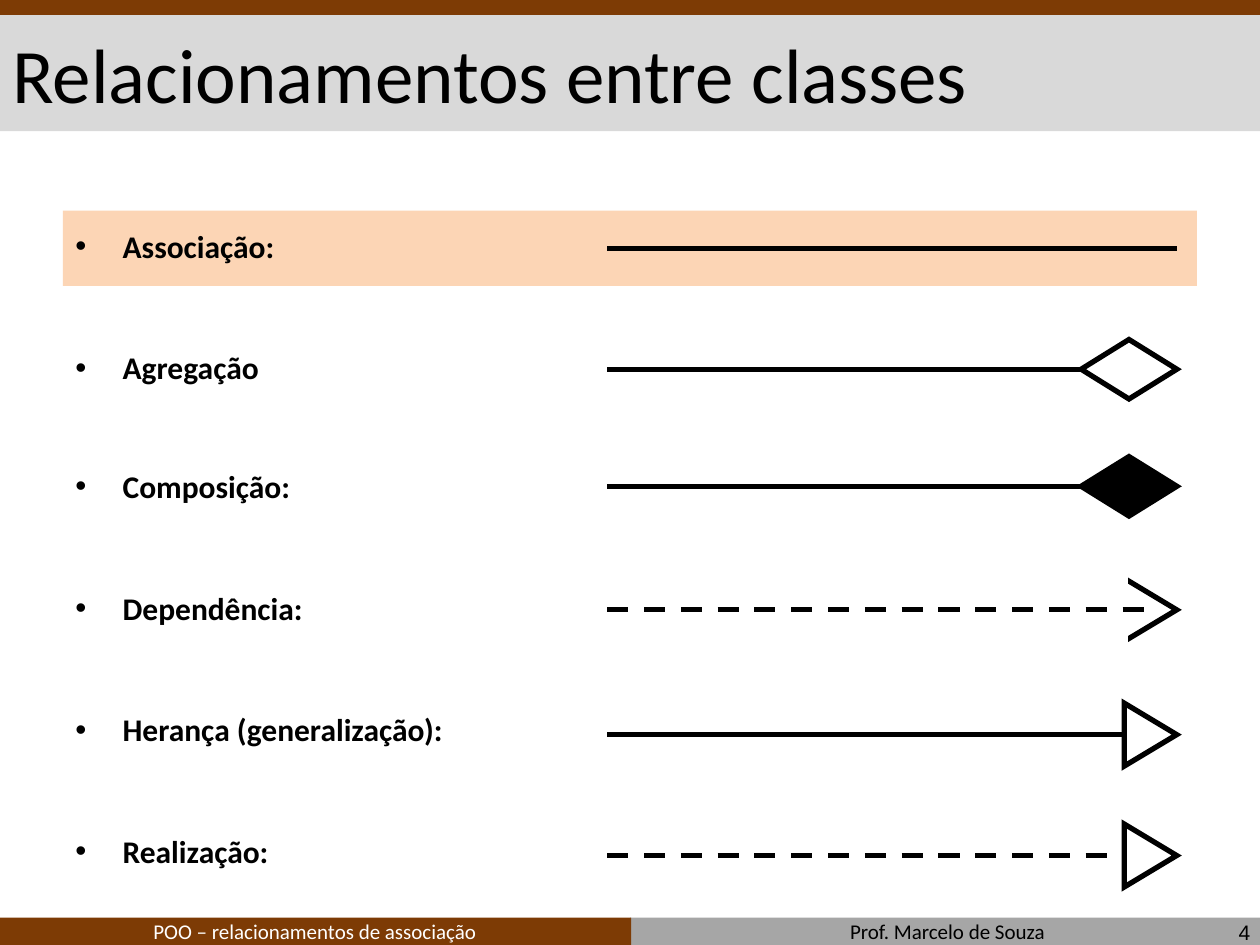
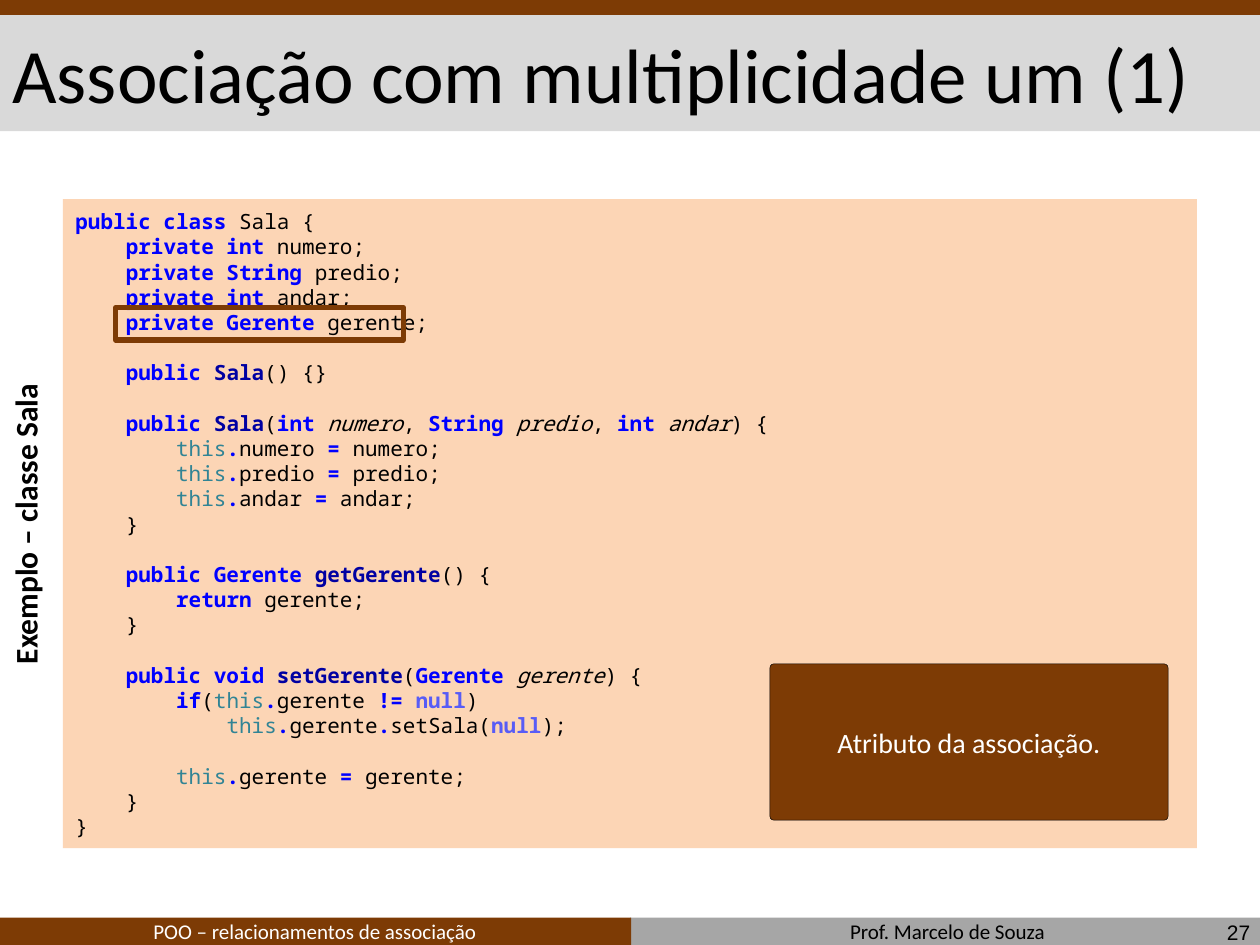
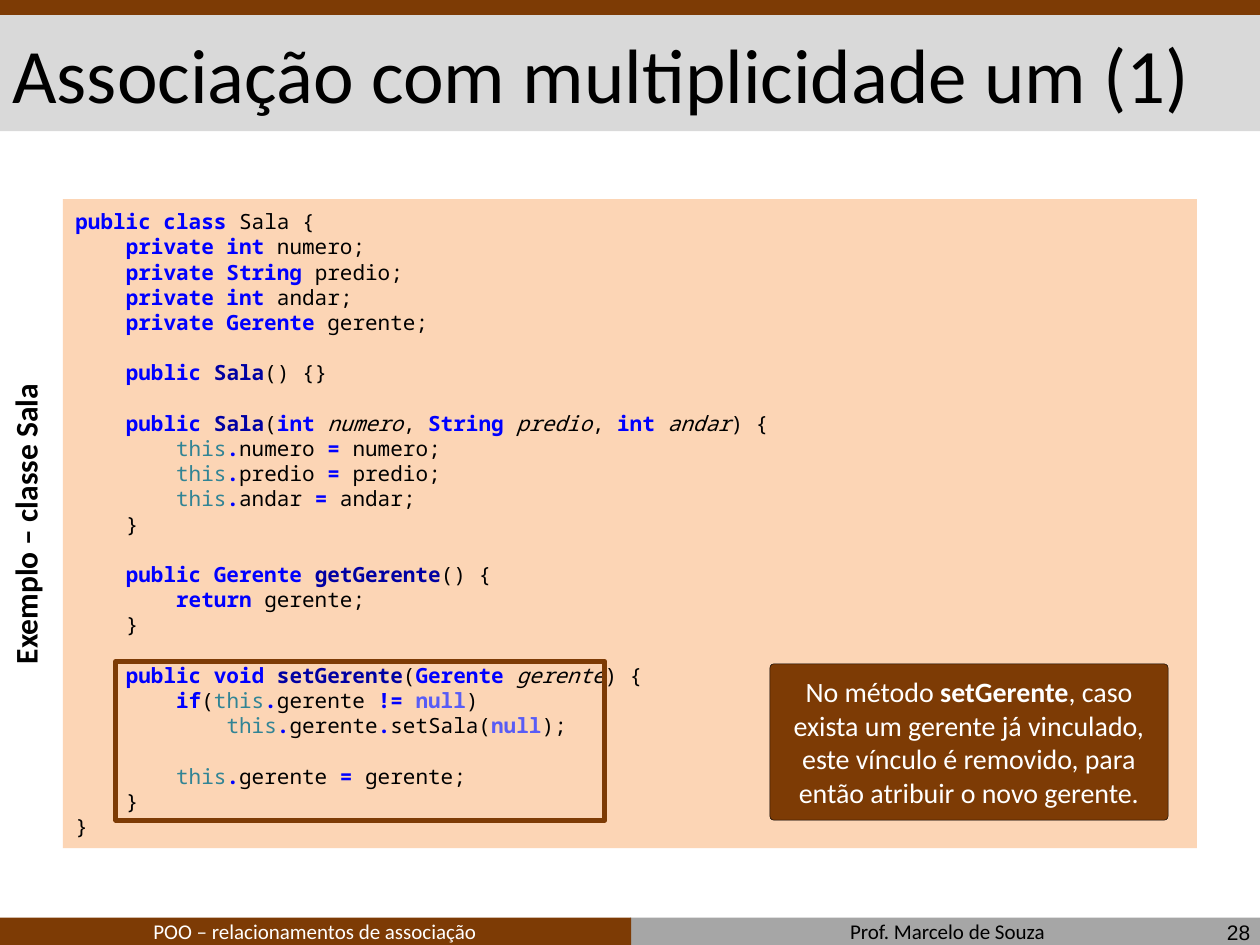
import pptx
import pptx.util
import pptx.dml.color
import pptx.enum.dml
import pptx.enum.shapes
import pptx.enum.text
import pptx.oxml.ns
from lxml import etree

Pt = pptx.util.Pt
RGBColor = pptx.dml.color.RGBColor
SHAPE = pptx.enum.shapes.MSO_SHAPE
ALIGN = pptx.enum.text.PP_ALIGN
ANCHOR = pptx.enum.text.MSO_ANCHOR

# Colours
BROWN = RGBColor(0x7D, 0x3B, 0x05)
PEACH = RGBColor(0xFC, 0xD5, 0xB5)
GRAY = RGBColor(0xA6, 0xA6, 0xA6)
LIGHT_GRAY = RGBColor(0xD9, 0xD9, 0xD9)
BLACK = RGBColor(0, 0, 0)
WHITE = RGBColor(0xFF, 0xFF, 0xFF)
BLUE = RGBColor(0, 0, 0xFF)
NAVY = RGBColor(0, 0, 0xA2)
TEAL = RGBColor(0x31, 0x84, 0x95)
VIOLET = RGBColor(0x58, 0x5C, 0xF6)

# Code styles: colour, bold, italic
PLAIN = (BLACK, False, False)
KEYWORD = (BLUE, True, False)
METHOD = (NAVY, True, False)
PARAMETER = (BLACK, False, True)
THIS = (TEAL, False, False)
NULL = (VIOLET, True, False)

CODE_LINE = 14.4
CODE_INDENT = 28.8


def field(keyword, name):
    return 1, False, [(f"private {keyword} ", KEYWORD), (f"{name};", PLAIN)]


def assignment(name, after_blank=False):
    return 2, after_blank, [("this", THIS), (".", KEYWORD), (f"{name} ", PLAIN),
                            ("= ", KEYWORD), (f"{name};", PLAIN)]


def closing(level):
    return level, False, [("}", PLAIN)]


# Code lines: indent level, space above, runs
SALA_CODE = [
    (0, False, [("public class", KEYWORD), (" Sala {", PLAIN)]),
    field("int", "numero"),
    field("String", "predio"),
    field("int", "andar"),
    field("Gerente", "gerente"),
    (1, True, [("public ", KEYWORD), ("Sala", METHOD), ("() {}", PLAIN)]),
    (1, True, [("public ", KEYWORD), ("Sala", METHOD), ("(", PLAIN),
               ("int ", KEYWORD), ("numero", PARAMETER), (", ", PLAIN),
               ("String ", KEYWORD), ("predio", PARAMETER), (", ", PLAIN),
               ("int ", KEYWORD), ("andar", PARAMETER), (") {", PLAIN)]),
    assignment("numero"),
    assignment("predio"),
    assignment("andar"),
    closing(1),
    (1, True, [("public Gerente ", KEYWORD), ("getGerente", METHOD), ("() {", PLAIN)]),
    (2, False, [("return ", KEYWORD), ("gerente;", PLAIN)]),
    closing(1),
    (1, True, [("public void ", KEYWORD), ("setGerente", METHOD), ("(", PLAIN),
               ("Gerente ", KEYWORD), ("gerente", PARAMETER), (") {", PLAIN)]),
    (2, False, [("if", KEYWORD), ("(", PLAIN), ("this", THIS), (".", KEYWORD),
                ("gerente ", PLAIN), ("!= ", KEYWORD), ("null", NULL), (")", PLAIN)]),
    (3, False, [("this", THIS), (".", KEYWORD), ("gerente", PLAIN), (".", KEYWORD),
                ("setSala(", PLAIN), ("null", NULL), (");", PLAIN)]),
    assignment("gerente", after_blank=True),
    closing(1),
    closing(0),
]

# Relationships: label, space above, line height, line end, head, head fill, dashed
RELATIONSHIPS = [
    ("Associação:", 0, 141.8, 672.5, None, None, False),
    ("Agregação", 48, 211, 672.5, "diamond", WHITE, False),
    ("Composição:", 46, 277.9, 672.5, "diamond", BLACK, False),
    ("Dependência:", 48, 348.5, 658, "open", None, True),
    ("Herança (generalização):", 48, 419.8, 672.5, "triangle", WHITE, False),
    ("Realização:", 48, 488.9, 672.5, "triangle", WHITE, True),
]
LINE_LEFT = 347


# Basic elements
def add_box(slide, kind, left, top, width, height, fill=None, line=None, weight=3):
    shape = slide.shapes.add_shape(kind, Pt(left), Pt(top), Pt(width), Pt(height))
    shape.shadow.inherit = False
    if fill is None:
        shape.fill.background()
    else:
        shape.fill.solid()
        shape.fill.fore_color.rgb = fill
    if line is None:
        shape.line.fill.background()
    else:
        shape.line.color.rgb = line
        shape.line.width = Pt(weight)
    return shape


def add_run(paragraph, text, size, color=BLACK, bold=False, italic=False, font="Calibri"):
    run = paragraph.add_run()
    run.text = text
    run.font.name = font
    run.font.size = Pt(size)
    run.font.bold = bold
    run.font.italic = italic
    run.font.color.rgb = color


def add_text(slide, left, top, width, height, anchor=ANCHOR.TOP):
    box = slide.shapes.add_textbox(Pt(left), Pt(top), Pt(width), Pt(height))
    box.text_frame.word_wrap = True
    box.text_frame.vertical_anchor = anchor
    return box


def add_label(slide, text, place, size, anchor, align, **style):
    box = add_text(slide, *place, anchor)
    paragraph = box.text_frame.paragraphs[0]
    paragraph.alignment = align
    add_run(paragraph, text, size, **style)
    return box


def add_line(slide, start, end, color=BLACK, weight=3, dashed=False):
    connector = slide.shapes.add_connector(
        pptx.enum.shapes.MSO_CONNECTOR.STRAIGHT, *(Pt(value) for value in start + end))
    connector.line.color.rgb = color
    connector.line.width = Pt(weight)
    if dashed:
        connector.line.dash_style = pptx.enum.dml.MSO_LINE.DASH
    etree.SubElement(connector.element.spPr, pptx.oxml.ns.qn("a:effectLst"))


def add_paragraph(text_frame, index):
    return text_frame.add_paragraph() if index else text_frame.paragraphs[0]


# Shared frame
def add_framed_slide(presentation, title, number):
    slide = presentation.slides.add_slide(presentation.slide_layouts[6])
    for left, top, width, height, color in [
            (360, 524.4, 360.7, 17, GRAY), (0, 524.4, 360.7, 17, BROWN),
            (0, 8, 720, 67, LIGHT_GRAY), (0, 0, 722, 8.5, BROWN)]:
        add_box(slide, SHAPE.RECTANGLE, left, top, width, height, color)
    add_label(slide, "Prof. Marcelo de Souza", (360.7, 521.3, 361.4, 21.8),
              12, ANCHOR.BOTTOM, ALIGN.CENTER)
    add_label(slide, "POO – relacionamentos de associação", (0, 521.3, 360, 21.8),
              12, ANCHOR.BOTTOM, ALIGN.CENTER, color=WHITE)
    add_label(slide, title, (0, 8.6, 720, 65.5), 44, ANCHOR.MIDDLE, ALIGN.LEFT)
    add_label(slide, str(number), (553.7, 520.6, 167.8, 23.8),
              12, ANCHOR.MIDDLE, ALIGN.RIGHT, font="Arial")
    return slide


# Relationship rows
def add_bullet(paragraph, text, space_above):
    paragraph.alignment = ALIGN.JUSTIFY
    paragraph.space_before = Pt(space_above)
    properties = paragraph._p.get_or_add_pPr()
    properties.set("marL", str(Pt(27)))
    properties.set("indent", str(-Pt(27)))
    font = etree.SubElement(properties, pptx.oxml.ns.qn("a:buFont"))
    font.set("typeface", "Arial")
    etree.SubElement(properties, pptx.oxml.ns.qn("a:buChar")).set("char", "•")
    add_run(paragraph, text, 18, bold=True)


def add_head(slide, kind, middle, fill):
    if kind == "diamond":
        head = add_box(slide, SHAPE.DIAMOND, 617.8, middle - 17, 54.7, 34, fill, BLACK)
    else:
        head = add_box(slide, SHAPE.ISOSCELES_TRIANGLE, 639.4, middle - 15, 36, 30,
                       fill, BLACK)
        head.rotation = 90
    outline = head.line._get_or_add_ln()
    etree.SubElement(outline, pptx.oxml.ns.qn("a:miter")).set("lim", "800000")
    if kind == "open":
        add_line(slide, (641.5, middle - 22.7), (641.5, middle + 22.7), WHITE, 6)


def add_relationships(slide):
    add_box(slide, SHAPE.RECTANGLE, 36, 120.4, 648, 43, PEACH)
    body = add_text(slide, 36, 126, 648, 378).text_frame
    for index, (label, space, middle, end, head, fill, dashed) in enumerate(RELATIONSHIPS):
        add_bullet(add_paragraph(body, index), label, space)
        if head == "open":
            add_head(slide, head, middle, fill)
        add_line(slide, (LINE_LEFT, middle), (end, middle), dashed=dashed)
        if head in ("diamond", "triangle"):
            add_head(slide, head, middle, fill)


# Code slides
def add_code(slide):
    box = add_box(slide, SHAPE.RECTANGLE, 36, 113.8, 648, 370.8, PEACH)
    box.text_frame.word_wrap = True
    box.text_frame.vertical_anchor = ANCHOR.MIDDLE
    for index, (level, after_blank, runs) in enumerate(SALA_CODE):
        paragraph = add_paragraph(box.text_frame, index)
        paragraph.alignment = ALIGN.LEFT
        paragraph.space_before = Pt(CODE_LINE if after_blank else 0)
        properties = paragraph._p.get_or_add_pPr()
        properties.set("marL", str(Pt(level * CODE_INDENT)))
        properties.set("indent", "0")
        for text, style in runs:
            add_run(paragraph, text, 12, *style, font="Noto Sans Mono")


def add_callout(slide, runs):
    callout = add_box(slide, SHAPE.ROUNDED_RECTANGLE, 440, 379.4, 227.5, 89.3,
                      BROWN, BLACK, 0.25)
    callout.adjustments[0] = 0.025
    callout.text_frame.word_wrap = True
    callout.text_frame.vertical_anchor = ANCHOR.MIDDLE
    paragraph = callout.text_frame.paragraphs[0]
    paragraph.alignment = ALIGN.CENTER
    for text, bold in runs:
        add_run(paragraph, text, 16, WHITE, bold)


def add_code_slide(presentation, number, highlight, callout_runs):
    slide = add_framed_slide(presentation, "Associação com multiplicidade um (1)", number)
    side_label = add_label(slide, "Exemplo – classe Sala", (126, -52.6, 452.2, 704.2),
                           18, ANCHOR.TOP, ALIGN.CENTER, bold=True)
    side_label.rotation = 270
    add_code(slide)
    add_box(slide, SHAPE.RECTANGLE, *highlight, line=BROWN)
    add_callout(slide, callout_runs)


def main():
    presentation = pptx.Presentation()
    presentation.slide_width = Pt(720)
    presentation.slide_height = Pt(540)

    add_relationships(add_framed_slide(presentation, "Relacionamentos entre classes", 4))
    add_code_slide(presentation, 27, (66.2, 175.7, 164.2, 18.7),
                   [("Atributo da associação.", False)])
    add_code_slide(presentation, 28, (66.2, 378, 279.4, 90.7),
                   [("No método ", False), ("setGerente", True),
                    (", caso exista um gerente já vinculado, este vínculo é removido, "
                     "para então atribuir o novo gerente.", False)])
    presentation.save("out.pptx")


if __name__ == "__main__":
    main()
